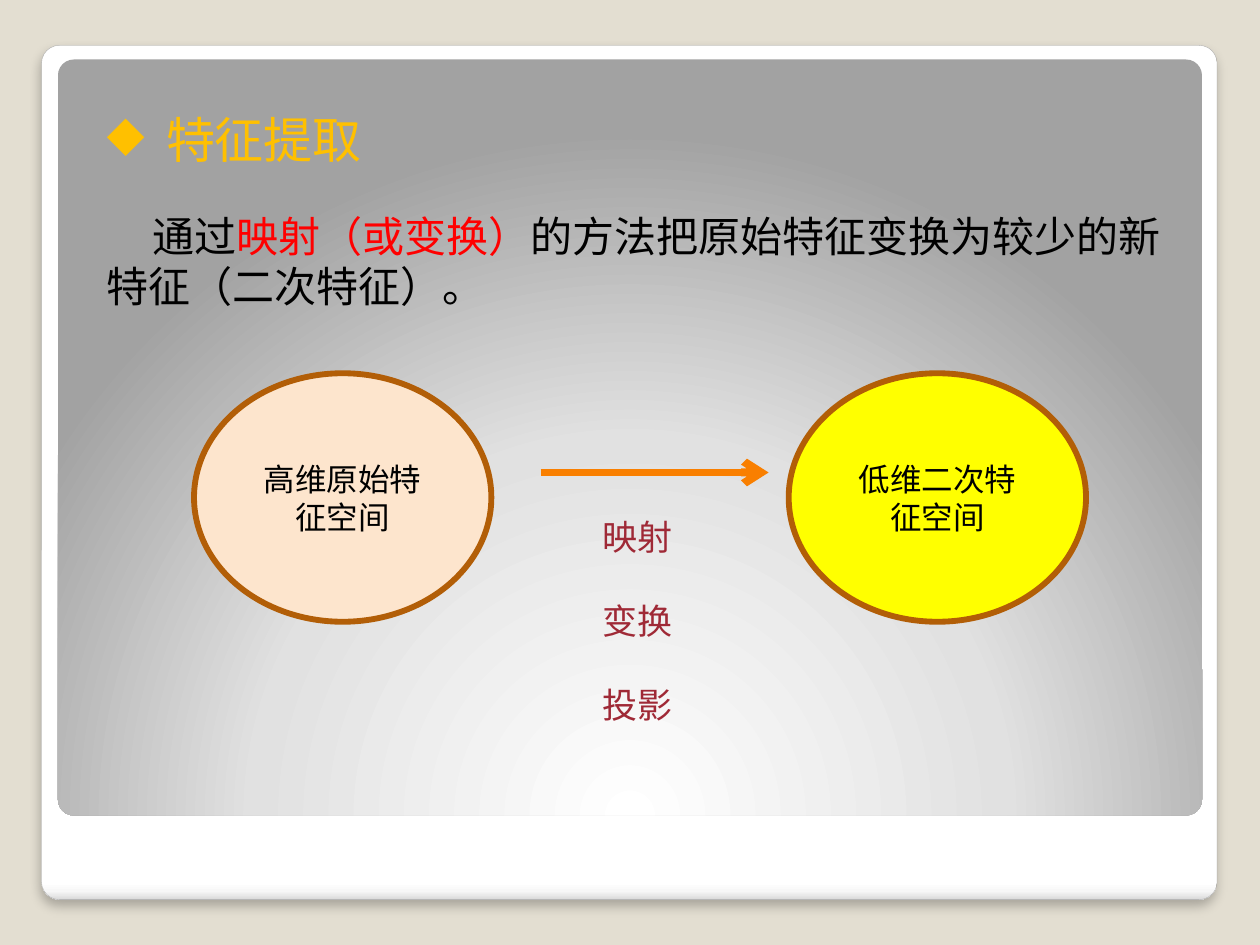
from typing import NamedTuple, Optional

from lxml.etree import SubElement
from pptx import Presentation
from pptx.dml.color import RGBColor
from pptx.enum.shapes import MSO_CONNECTOR, MSO_SHAPE as Shape
from pptx.enum.text import MSO_ANCHOR as Anchor, PP_ALIGN as Align
from pptx.oxml import parse_xml
from pptx.oxml.ns import nsdecls, qn
from pptx.util import Inches, Pt

WIDTH, HEIGHT = 10, 7.5
FONT = "DejaVu Sans"
BLACK = "000000"


class Box(NamedTuple):
    """Left, top, width and height as shares of the slide's size."""
    left: float
    top: float
    width: float
    height: float

    def lengths(self) -> tuple:
        return (Inches(self.left * WIDTH), Inches(self.top * HEIGHT),
                Inches(self.width * WIDTH), Inches(self.height * HEIGHT))


class Run(NamedTuple):
    text: str
    color: str


class Panel(NamedTuple):
    box: Box
    stops: tuple
    direction: str
    line: Optional[str] = None
    effects: str = ""


class Space(NamedTuple):
    label: str
    left: float
    fill: str


class TextBlock(NamedTuple):
    box: Box
    paragraphs: tuple
    size: int
    margin: float = 0
    indent: float = 0
    bullet: str = ""
    gap: int = 0


PANELS = (
    Panel(Box(0.033, 0.048, 0.933, 0.904),
          ((0, "FFFFFF"), (98, "FFFFFF"), (99, "F7F7F7"), (100, "DADADA")),
          '<a:lin ang="5400000" scaled="0"/>', "A4A4A4",
          '<a:outerShdw blurRad="76200" dist="50800" dir="5400000" algn="t" rotWithShape="0">'
          '<a:srgbClr val="000000"><a:alpha val="25000"/></a:srgbClr></a:outerShdw>'),
    Panel(Box(0.046, 0.063, 0.908, 0.8),
          ((0, "FFFFFF"), (55, "E1E1E1"), (100, "A2A2A2")),
          '<a:path path="circle"><a:fillToRect l="50000" t="175000" r="50000" b="-75000"/></a:path>'),
)
TEXTS = (
    TextBlock(Box(0.075, 0.109, 0.457, 0.076), ((Run("特征提取", "FFC000"),),),
              28, margin=0.47, indent=-0.47, bullet="◆"),
    TextBlock(Box(0.075, 0.216, 0.866, 0.121),
              ((Run("通过", BLACK), Run("映射（或变换）", "FF0000"),
                Run("的方法把原始特征变换为较少的新特征（二次特征）。", BLACK)),),
              24, indent=0.36),
    TextBlock(Box(0.468, 0.539, 0.11, 0.237),
              tuple((Run(word, "9F2936"),) for word in ("映射", "变换", "投影")),
              20, gap=24),
)
SPACES = (Space("高维原始特征空间", 0.154, "FDE5CD"),
          Space("低维二次特征空间", 0.626, "FFFF00"))


def paint(target, color: str) -> None:
    """Give a fill, or the fill of a line, one solid colour."""
    target.solid()
    target.fore_color.rgb = RGBColor.from_string(color)


def add_run(paragraph, run: Run, size: int) -> None:
    text_run = paragraph.add_run()
    text_run.text = run.text
    for name, value in {"name": FONT, "size": Pt(size)}.items():
        setattr(text_run.font, name, value)
    paint(text_run.font.fill, run.color)


def add_panel(slide, panel: Panel) -> None:
    shape = slide.shapes.add_shape(Shape.ROUNDED_RECTANGLE, *panel.box.lengths())
    shape.adjustments[0] = 0.021
    if panel.line:
        paint(shape.line.fill, panel.line)
        shape.line.width = Pt(0.16)
    else:
        shape.line.fill.background()
    stops = "".join(f'<a:gs pos="{position * 1000}"><a:srgbClr val="{color}"/></a:gs>'
                    for position, color in panel.stops)
    properties = shape.element.spPr
    properties.find(qn("a:prstGeom")).addnext(parse_xml(
        f'<a:gradFill {nsdecls("a")} rotWithShape="1"><a:gsLst>{stops}</a:gsLst>'
        f'{panel.direction}</a:gradFill>'))
    properties.append(parse_xml(
        f'<a:effectLst {nsdecls("a")}>{panel.effects}</a:effectLst>'))


def add_text(slide, block: TextBlock) -> None:
    frame = slide.shapes.add_textbox(*block.box.lengths()).text_frame
    frame.word_wrap = True
    for index, runs in enumerate(block.paragraphs):
        paragraph = frame.add_paragraph() if index else frame.paragraphs[0]
        properties = paragraph._p.get_or_add_pPr()
        properties.set("marL", str(Inches(block.margin)))
        properties.set("indent", str(Inches(block.indent)))
        if block.bullet:
            SubElement(properties, qn("a:buChar"), char=block.bullet)
        if index:
            paragraph.space_before = Pt(block.gap)
        for run in runs:
            add_run(paragraph, run, block.size)


def add_space(slide, space: Space) -> None:
    box = Box(space.left, 0.395, 0.236, 0.263)
    shape = slide.shapes.add_shape(Shape.OVAL, *box.lengths())
    shape.shadow.inherit = False
    paint(shape.fill, space.fill)
    paint(shape.line.fill, "B25E07")
    shape.line.width = Pt(3.35)
    frame = shape.text_frame
    for name, value in {"word_wrap": True, "vertical_anchor": Anchor.MIDDLE}.items():
        setattr(frame, name, value)
    paragraph = frame.paragraphs[0]
    paragraph.alignment = Align.CENTER
    add_run(paragraph, Run(space.label, BLACK), 18)


def add_arrow(slide, start: float, end: float, level: float) -> None:
    """Draw a level arrow between two shares of the slide's width."""
    height = Inches(level * HEIGHT)
    arrow = slide.shapes.add_connector(
        MSO_CONNECTOR.STRAIGHT, Inches(start * WIDTH), height, Inches(end * WIDTH), height)
    paint(arrow.line.fill, "F97F00")
    arrow.line.width = Pt(4.5)
    SubElement(arrow.line._get_or_add_ln(), qn("a:tailEnd"), type="arrow")
    SubElement(arrow.element.spPr, qn("a:effectLst"))


def main() -> None:
    presentation = Presentation()
    presentation.slide_width, presentation.slide_height = Inches(WIDTH), Inches(HEIGHT)
    slide = presentation.slides.add_slide(presentation.slide_layouts[6])
    paint(slide.background.fill, "E3DED1")
    for panel in PANELS:
        add_panel(slide, panel)
    for space in SPACES:
        add_space(slide, space)
    add_arrow(slide, 0.429, 0.61, 0.5)
    for block in TEXTS:
        add_text(slide, block)
    presentation.save("out.pptx")


if __name__ == "__main__":
    main()
